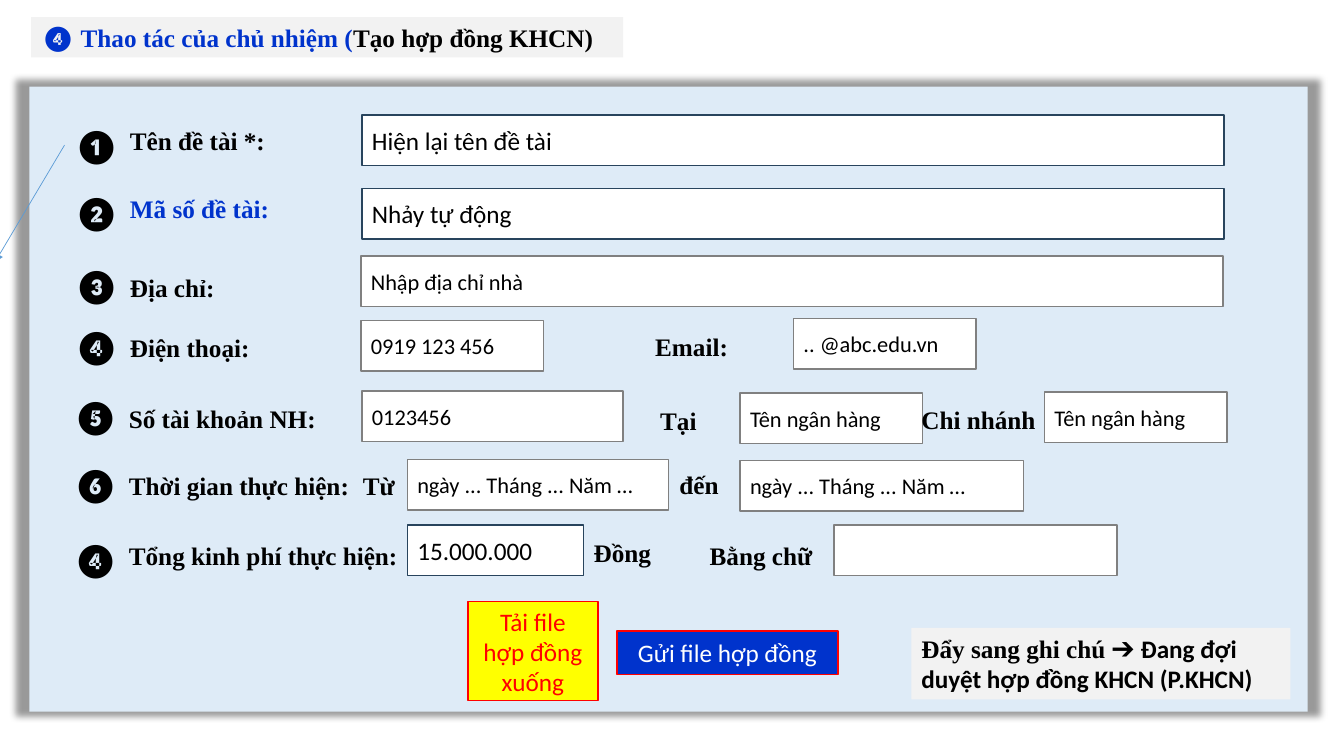
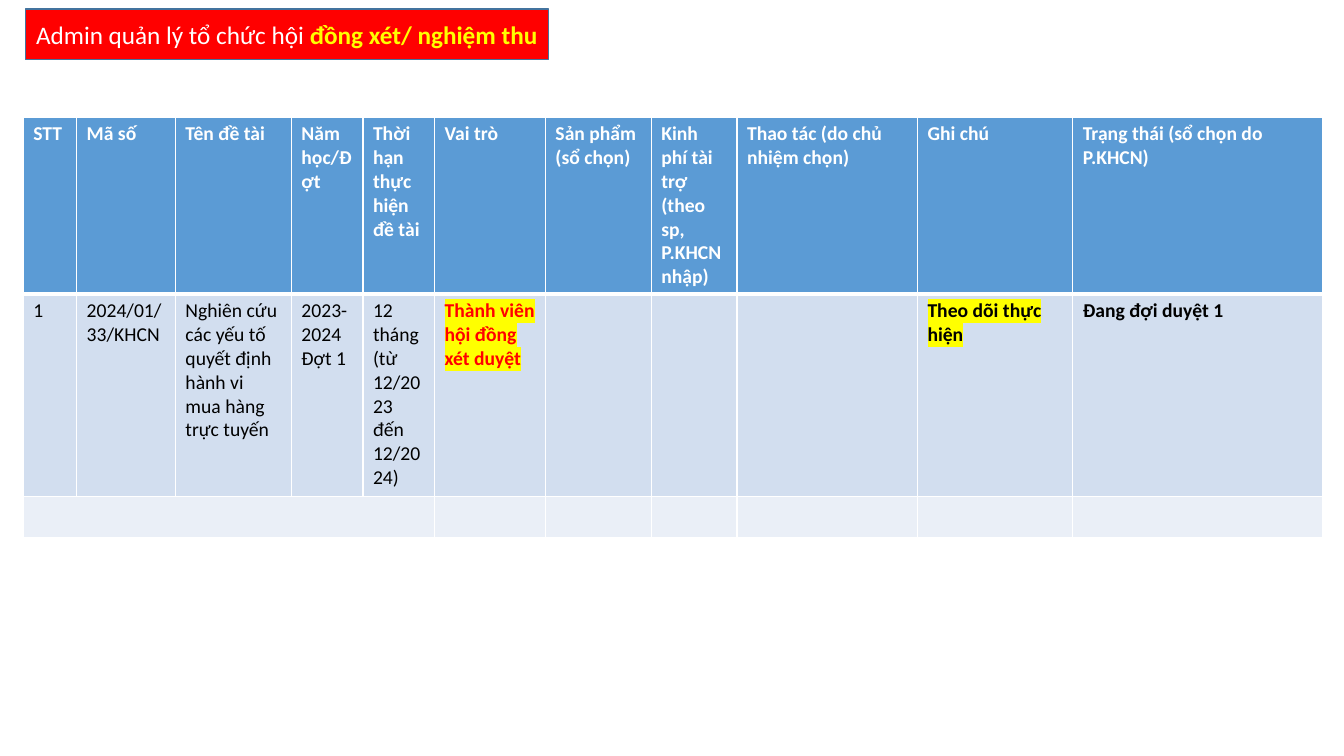
import pptx
import pptx.util
import pptx.dml.color
import pptx.enum.shapes
import pptx.enum.text
import pptx.oxml
import pptx.oxml.ns

SCALE = 9144
SANS = "Calibri"
SERIF = "Times New Roman"
BLACK = "000000"
WHITE = "FFFFFF"
BLUE = "0033CC"
RED = "FF0000"
YELLOW = "FFFF00"
NAVY = "28445D"
GRAY = "808080"
PALE = "F2F2F2"
SKY = "5B9BD5"
ANCHOR = pptx.enum.text.MSO_ANCHOR
ALIGN = pptx.enum.text.PP_ALIGN

MARKS = [
    ("❶", 119, "Tên đề tài *:", 119, BLACK),
    ("❷", 185, "Mã số đề tài:", 187, BLUE),
    ("❸", 258, "Địa chỉ:", 265, BLACK),
    ("❹", 318, "Điện thoại:", 325, BLACK),
    ("❺", 388, "Số tài khoản NH:", 395, BLACK),
    ("❻", 455, "Thời gian thực hiện:", 462, BLACK),
    ("❹", 530, "Tổng kinh phí thực hiện:", 531, BLACK),
]
FIELDS = [
    ("Hiện lại tên đề tài", 359, 114, 855, 18),
    ("Nhảy tự động", 359, 187, 855, 18),
    ("Nhập địa chỉ nhà", 358, 254, 855, 16),
    ("0919 123 456", 358, 318, 181, 16),
    (".. @abc.edu.vn", 787, 316, 181, 16),
    ("0123456", 359, 388, 259, 16),
    ("Tên ngân hàng", 734, 390, 181, 16),
    ("Tên ngân hàng", 1036, 389, 181, 16),
    ("ngày ... Tháng ... Năm …", 404, 456, 259, 16),
    ("ngày ... Tháng ... Năm …", 734, 457, 281, 16),
    ("15.000.000", 404, 521, 175, 18),
    ("", 827, 521, 281, 16),
]
LABELS = [
    ("Email:", 640, 324, 140),
    ("Tại", 645, 397, 80),
    ("Chi nhánh", 904, 396, 140),
    ("Từ", 350, 462, 86),
    ("đến", 664, 461, 86),
    ("Đồng", 579, 528, 86),
    ("Bằng chữ", 694, 531, 133),
]
WIDTHS = [53, 98, 115, 71, 71, 110, 105, 85, 179, 154, 248]
HEIGHTS = [174, 201, 40]
FILLS = [SKY, "D2DEEF", "EAEFF7"]
HEADS = [
    "STT", "Mã số", "Tên đề tài", "Năm học/Đợt", "Thời hạn thực hiện đề tài",
    "Vai trò", "Sản phẩm (sổ chọn)", "Kinh phí tài trợ (theo sp, P.KHCN nhập)",
    "Thao tác (do chủ nhiệm chọn)", "Ghi chú", "Trạng thái (sổ chọn do P.KHCN)",
]
ITEMS = [
    ("1", {}),
    ("2024/01/33/KHCN", {}),
    ("Nghiên cứu các yếu tố quyết định hành vi mua hàng trực tuyến", {}),
    ("2023-2024 Đợt 1", {}),
    ("12 tháng (từ 12/2023 đến 12/2024)", {}),
    ("Thành viên hội đồng xét duyệt", {"color": RED, "bold": True, "mark": YELLOW}),
    ("", {}),
    ("", {}),
    ("", {}),
    ("Theo dõi thực hiện", {"bold": True, "mark": YELLOW}),
    ("Đang đợi duyệt 1", {"bold": True}),
]


def px(*sizes):
    return [pptx.util.Emu(size * SCALE) for size in sizes]


def tint(code):
    return pptx.dml.color.RGBColor.from_string(code)


def node(name, inner="", **attrs):
    pairs = "".join(f' {key}="{val}"' for key, val in attrs.items())
    space = pptx.oxml.ns.nsdecls("a")
    return pptx.oxml.parse_xml(f"<a:{name} {space}{pairs}>{inner}</a:{name}>")


def write(para, text, size=18, font=SANS, color=BLACK, bold=False, mark=None):
    run = para.add_run()
    run.text = text
    run.font.size = pptx.util.Pt(size)
    run.font.name = font
    run.font.bold = bold
    run.font.color.rgb = tint(color)
    if mark:
        solid = run.font.fill._xPr.find(pptx.oxml.ns.qn("a:solidFill"))
        solid.addnext(node("highlight", f'<a:srgbClr val="{mark}"/>'))


def setup(shape, anchor=ANCHOR.TOP, align=ALIGN.LEFT):
    frame = shape.text_frame
    frame.word_wrap = True
    frame.auto_size = pptx.enum.text.MSO_AUTO_SIZE.NONE
    frame.vertical_anchor = anchor
    para = frame.paragraphs[0]
    para.alignment = align
    return para


def paint(shape, fill, line=None):
    shape.fill.solid()
    shape.fill.fore_color.rgb = tint(fill)
    if line:
        shape.line.color.rgb = tint(line)
        shape.line.width = pptx.util.Pt(1)
    else:
        shape.line.fill.background()


def head(slide, rect, fill, line=None, **place):
    title = slide.shapes.title
    title.left, title.top, title.width, title.height = px(*rect)
    paint(title, fill, line)
    return setup(title, **place)


def box(slide, rect, fill, line=None):
    kind = pptx.enum.shapes.MSO_SHAPE.RECTANGLE
    shape = slide.shapes.add_shape(kind, *px(*rect))
    shape.shadow.inherit = False
    paint(shape, fill, line)
    return shape


def label(slide, text, left, top, width, height=40, **style):
    shape = slide.shapes.add_textbox(*px(left, top, width, height))
    write(setup(shape), text, bold=True, **style)


def field(slide, text, left, top, width, size):
    shape = box(slide, (left, top, width, 50), WHITE, NAVY if size == 18 else GRAY)
    if text:
        write(setup(shape, ANCHOR.MIDDLE), text, size=size)


def button(slide, text, rect, fill, color):
    shape = box(slide, rect, fill, RED)
    write(setup(shape, ANCHOR.MIDDLE, ALIGN.CENTER), text, color=color)


def panel(slide):
    shape = box(slide, (29, 86, 1268, 620), "DEEBF7")
    shade = node("outerShdw", f'<a:srgbClr val="{BLACK}"><a:alpha val="40000"/></a:srgbClr>',
                 blurRad=63500, sx=102000, sy=102000, algn="ctr", rotWithShape=0)
    shape._element.spPr.find(pptx.oxml.ns.qn("a:effectLst")).append(shade)


def arrow(slide, start, end):
    kind = pptx.enum.shapes.MSO_CONNECTOR.STRAIGHT
    line = slide.shapes.add_connector(kind, *px(*start, *end))
    line.line.color.rgb = tint(SKY)
    line.line.width = pptx.util.Pt(0.5)
    line.line._get_or_add_ln().append(node("tailEnd", type="triangle"))
    line._element.spPr.append(node("effectLst"))


def style(cell, row):
    props = cell._tc.get_or_add_tcPr()
    thick = {(0, "lnB"), (1, "lnT")}
    for side in ("lnL", "lnR", "lnT", "lnB"):
        width = 38100 if (row, side) in thick else 12700
        props.append(node(side, f'<a:solidFill><a:srgbClr val="{WHITE}"/></a:solidFill>', w=width))
    cell.fill.solid()
    cell.fill.fore_color.rgb = tint(FILLS[row])


def grid(slide):
    rect = px(23, 116, sum(WIDTHS), sum(HEIGHTS))
    table = slide.shapes.add_table(len(HEIGHTS), len(WIDTHS), *rect).table
    for col, width in zip(table.columns, px(*WIDTHS)):
        col.width = width
    for row, height in zip(table.rows, px(*HEIGHTS)):
        row.height = height
    for row in range(len(HEIGHTS)):
        for col in range(len(WIDTHS)):
            style(table.cell(row, col), row)
    table.cell(2, 0).merge(table.cell(2, 4))
    tops = [(text, {"color": WHITE, "bold": True}) for text in HEADS]
    for row, items in enumerate((tops, ITEMS)):
        for col, (text, look) in enumerate(items):
            if text:
                write(table.cell(row, col).text_frame.paragraphs[0], text, size=14, **look)


def form(slide):
    para = head(slide, (31, 17, 587, 40), PALE)
    write(para, "❹", color=BLUE, bold=True)
    write(para, " Thao tác của chủ nhiệm (", font=SERIF, color=BLUE, bold=True)
    write(para, "Tạo hợp đồng KHCN)", font=SERIF, bold=True)
    panel(slide)
    for sign, high, text, top, color in MARKS:
        left = 64 if high < 380 else 63
        label(slide, sign, left, high, 55, 50, size=24)
        label(slide, text, left + 55, top, 346, font=SERIF, color=color)
    for item in FIELDS:
        field(slide, *item)
    for item in LABELS:
        label(slide, *item, font=SERIF)
    button(slide, "Tải file hợp đồng xuống", (464, 597, 129, 98), YELLOW, RED)
    button(slide, "Gửi file hợp đồng", (612, 626, 219, 43), BLUE, WHITE)
    note = setup(box(slide, (904, 623, 376, 71), PALE))
    write(note, "Đẩy sang ghi chú ➔ ", font=SERIF, bold=True)
    write(note, "Đang đợi duyệt hợp đồng KHCN (P.KHCN)", bold=True)
    arrow(slide, (64, 144), (-5, 260))


def board(slide):
    para = head(slide, (25, 9, 519, 50), RED, "43739E", anchor=ANCHOR.MIDDLE, align=ALIGN.CENTER)
    write(para, "Admin quản lý tổ chức hội ", color=WHITE)
    write(para, "đồng xét/ nghiệm thu", color=YELLOW, bold=True)
    grid(slide)


def main():
    deck = pptx.Presentation()
    deck.slide_width, deck.slide_height = px(1333, 750)
    for build in (form, board):
        build(deck.slides.add_slide(deck.slide_layouts[5]))
    deck.save("out.pptx")


if __name__ == "__main__":
    main()
